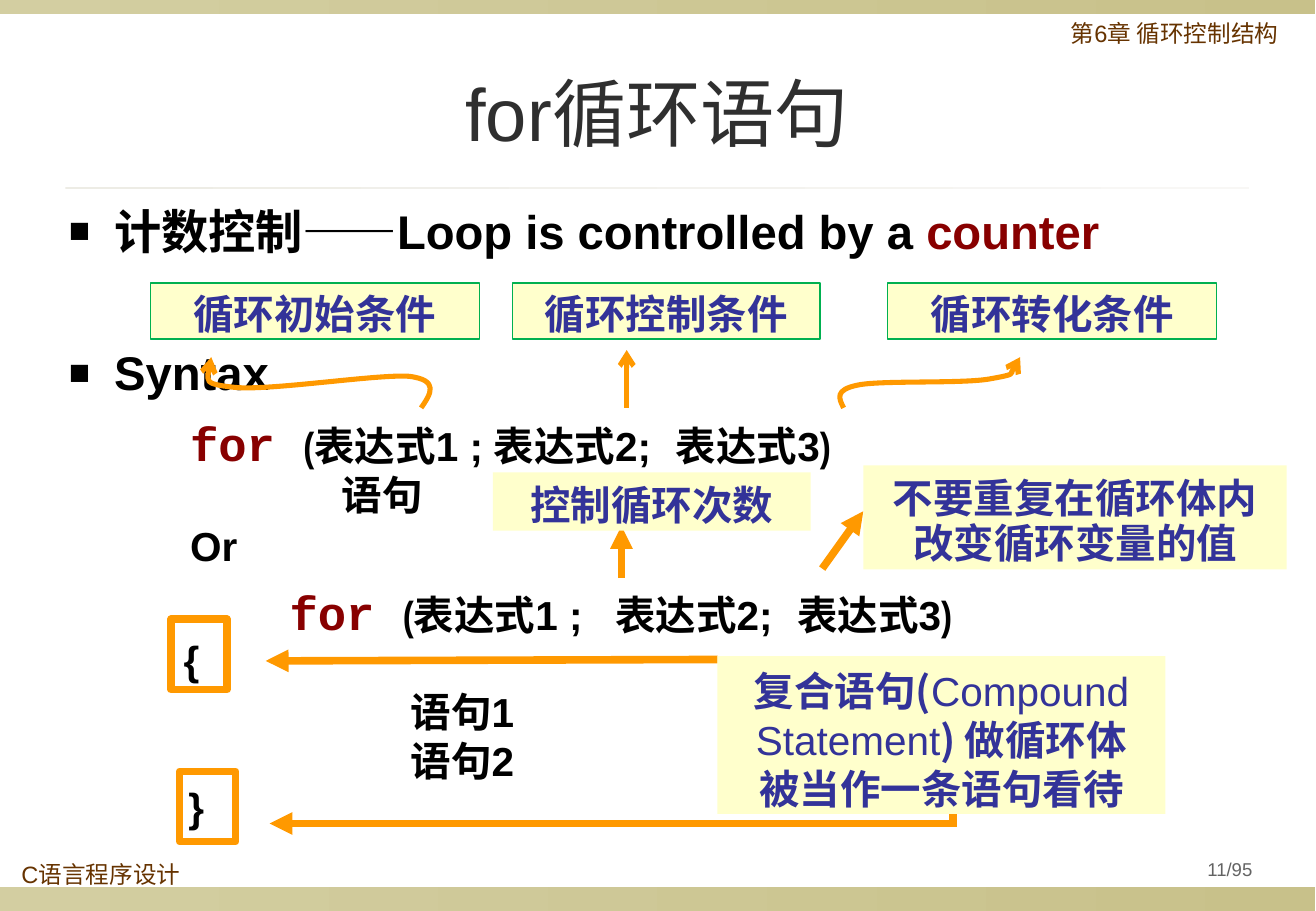
from lxml import etree
from pptx import Presentation
from pptx.dml.color import RGBColor
from pptx.enum import shapes, text
from pptx.oxml.ns import qn
from pptx.util import Cm, Pt

BLACK = RGBColor(0, 0, 0)
RED = RGBColor(0x88, 0, 0)
BLUE = RGBColor(0x33, 0x33, 0x99)
BROWN = RGBColor(0x66, 0x33, 0)
DARK = RGBColor(0x2F, 0x2F, 0x2F)
GREY = RGBColor(0x63, 0x63, 0x63)
ORANGE = RGBColor(0xFF, 0x99, 0)
GREEN = RGBColor(0, 0xB0, 0x50)
CREAM = RGBColor(0xFF, 0xFF, 0xCC)
OLIVE = RGBColor(0xD3, 0xCE, 0xA1), RGBColor(0xC8, 0xC1, 0x8A)
RULE = RGBColor(0xED, 0xEC, 0xE5), RGBColor(0xF8, 0xF7, 0xF5)
CJK = "Noto Sans CJK SC"
CENTER = text.PP_ALIGN.CENTER
MIDDLE = text.MSO_ANCHOR.MIDDLE

# Boxes are left, top, width, height in centimetres
BANDS = [((0, 18.54, 27.51, 0.51), OLIVE), ((0, 0, 27.51, 0.3), OLIVE),
         ((1.37, 3.91, 24.76, 0.05), RULE)]
LABELS = [
    ("C语言程序设计", (0.2, 17.93, 3.96, 0.81), dict(size=14, color=BROWN, spacing=0.9)),
    ("第6章 循环控制结构", (22.15, 0.33, 5.36, 0.99), dict(size=14, color=BROWN, spacing=0.9)),
    ("for循环语句", (1.37, 0.74, 24.76, 3.18),
     dict(size=44, color=DARK, align=CENTER, anchor=MIDDLE)),
    ("11/95", (24.36, 17.78, 2.74, 0.79),
     dict(size=11, color=GREY, align=CENTER, anchor=MIDDLE)),
]

BODY_BOX = (1.19, 4.37, 24.5, 13.5)
FOR_RUNS = [("for ", dict(size=28, color=RED, font="Courier New")),
            ("(", dict(font="Arial Narrow")),
            ("表达式1 ;\t表达式2;\t表达式3", {}),
            (")", dict(font="Arial Narrow"))]
BIG = dict(size=28)
# Runs, space before in points, first-line indent (None for a bullet), tab stops
BODY = [
    ([("计数控制——", dict(size=28, font=CJK)), ("Loop is controlled by a ", BIG),
      ("counter", dict(size=28, color=RED))], 0, None, ()),
    ([("Syntax", BIG)], 58, None, ()),
    (FOR_RUNS, 16, 2.54, (9.6, 14.01)),
    ([("语句", {})], 2, 5.71, ()),
    ([("Or", {})], 4, 2.54, ()),
    (FOR_RUNS, 16, 4.62, (11.67, 16.08)),
    ([("{", {})], 0, 2.4, ()),
    ([("语句1", {})], 5, 7.15, ()),
    ([("语句2", {})], 3, 7.15, ()),
    ([("}", {})], 1, 2.5, ()),
]

CONDITIONS = [("循环初始条件", 3.15, 6.88), ("循环控制条件", 10.72, 6.43),
              ("循环转化条件", 18.57, 6.88)]
NOTES = [
    ([[("复合语句(", {}), ("Compound Statement", dict(font="Arial", bold=False)),
       (") 做循环体", {})], "被当作一条语句看待"], (15.01, 13.72, 9.37, 3.3), 29),
    (["不要重复在循环体内改变循环变量的值"], (18.06, 9.73, 8.86, 2.18), 27),
    (["控制循环次数"], (10.31, 9.88, 6.65, 1.22), 27),
]
BRACE_FRAMES = [(3.58, 12.95, 1.17, 1.47), (3.76, 16.13, 1.17, 1.47)]
# Start, end, width in points, arrowhead at the end
LINES = [((13.11, 8.53), (13.11, 7.32), 3, "arrow"),
         ((15.01, 13.79), (5.56, 13.82), 4.5, "triangle"),
         ((19.94, 17.22), (5.64, 17.22), 4.5, "triangle"),
         ((19.94, 15.32), (19.94, 17.3), 4.5, None),
         ((17.2, 11.89), (18.06, 10.69), 4.5, "triangle"),
         ((13, 12.09), (13, 11), 4.5, "triangle")]
# Start point followed by three points for each Bezier segment
CURVES = [
    [(8.81, 8.53), (9.02, 8.23), (9.19, 7.95), (8.56, 7.87), (7.9, 7.82), (5.61, 8.18),
     (4.9, 8.1), (4.22, 8.03), (4.32, 7.75), (4.42, 7.47)],
    [(17.65, 8.53), (17.55, 8.33), (17.45, 8.15), (17.96, 8.05), (18.47, 7.95),
     (20.17, 8.03), (20.73, 7.92), (21.29, 7.82), (21.31, 7.65), (21.34, 7.47)],
]

prs = Presentation()
prs.slide_width, prs.slide_height = Cm(27.53), Cm(19.05)
s = prs.slides.add_slide(prs.slide_layouts[6])


def cm(values):
    return [Cm(v) for v in values]


def add_run(p, words, size=24, color=BLACK, font="Arial", bold=False):
    r = p.add_run()
    r.text = words
    f = r.font
    f.size, f.bold, f.name = Pt(size), bold, font
    f.color.rgb = color
    etree.SubElement(r._r.get_or_add_rPr(), qn("a:ea"), typeface=CJK)


def write(tf, paras, align=None, anchor=None, spacing=None, **fmt):
    """Fill a frame with paragraphs, each a string or a list of (text, format)."""
    tf.word_wrap = True
    if anchor is not None:
        tf.vertical_anchor = anchor
    for i, para in enumerate(paras):
        p = tf.paragraphs[0] if i == 0 else tf.add_paragraph()
        p.alignment = align
        if spacing:
            p.line_spacing = spacing
        for words, extra in [(para, {})] if isinstance(para, str) else para:
            add_run(p, words, **{**fmt, **extra})


def add_rect(box, fill=None, line=None, width=1):
    sp = s.shapes.add_shape(shapes.MSO_SHAPE.RECTANGLE, *cm(box))
    sp.shadow.inherit = False
    if fill:
        sp.fill.solid()
        sp.fill.fore_color.rgb = fill
    else:
        sp.fill.background()
    if line:
        sp.line.color.rgb, sp.line.width = line, Pt(width)
    else:
        sp.line.fill.background()
    return sp


def add_note(paras, box, spacing, line=None):
    tf = add_rect(box, CREAM, line).text_frame
    tf.margin_top, tf.margin_bottom = Cm(0.17), 0
    write(tf, paras, align=CENTER, anchor=MIDDLE, spacing=Pt(spacing),
          color=BLUE, font=CJK, bold=True)


def style_stroke(sp, width, arrow):
    sp.line.color.rgb, sp.line.width = ORANGE, Pt(width)
    if arrow:
        etree.SubElement(sp.line._get_or_add_ln(), qn("a:tailEnd"), type=arrow)


def format_body_line(p, before, indent, stops):
    p.line_spacing = Pt(26)
    if before:
        p.space_before = Pt(before)
    pPr = p._p.get_or_add_pPr()
    bullet = indent is None
    pPr.set("marL", str(Cm(0.95 if bullet else 0)))
    pPr.set("indent", str(Cm(-0.95 if bullet else indent)))
    if bullet:
        etree.SubElement(pPr, qn("a:buSzPct"), val="75000")
        etree.SubElement(pPr, qn("a:buFont"), typeface="Arial")
        etree.SubElement(pPr, qn("a:buChar"), char="■")
    else:
        etree.SubElement(pPr, qn("a:buNone"))
    if stops:
        tabs = etree.SubElement(pPr, qn("a:tabLst"))
        for stop in stops:
            etree.SubElement(tabs, qn("a:tab"), pos=str(Cm(stop)), algn="l")


def add_curve(points):
    start, *rest = [cm(pt) for pt in points]
    fb = s.shapes.build_freeform(*start)
    fb.add_line_segments(rest, close=False)
    sp = fb.convert_to_shape()
    sp.shadow.inherit = False
    sp.fill.background()
    path = sp._element.find(".//" + qn("a:path"))
    corners = path.findall(qn("a:lnTo"))
    for i in range(0, len(corners), 3):
        bezier = etree.SubElement(path, qn("a:cubicBezTo"))
        for corner in corners[i:i + 3]:
            bezier.append(corner[0])
            path.remove(corner)
    style_stroke(sp, 3, "arrow")


for box, colors in BANDS:
    band = add_rect(box)
    band.fill.gradient()
    band.fill.gradient_angle = 0
    for stop, color in zip(band.fill.gradient_stops, colors):
        stop.color.rgb = color

for words, box, fmt in LABELS:
    write(s.shapes.add_textbox(*cm(box)).text_frame, [words], **fmt)

body = s.shapes.add_textbox(*cm(BODY_BOX)).text_frame
write(body, [line[0] for line in BODY], bold=True)
for p, (_, before, indent, stops) in zip(body.paragraphs, BODY):
    format_body_line(p, before, indent, stops)

for points in CURVES:
    add_curve(points)
for words, left, width in CONDITIONS:
    add_note([words], (left, 5.92, width, 1.17), 27, GREEN)
for box in BRACE_FRAMES:
    add_rect(box, line=ORANGE, width=4.5)
for start, end, width, arrow in LINES:
    c = s.shapes.add_connector(shapes.MSO_CONNECTOR.STRAIGHT, *cm(start + end))
    style_stroke(c, width, arrow)
    etree.SubElement(c._element.spPr, qn("a:effectLst"))
for paras, box, spacing in NOTES:
    add_note(paras, box, spacing)

prs.save("out.pptx")
